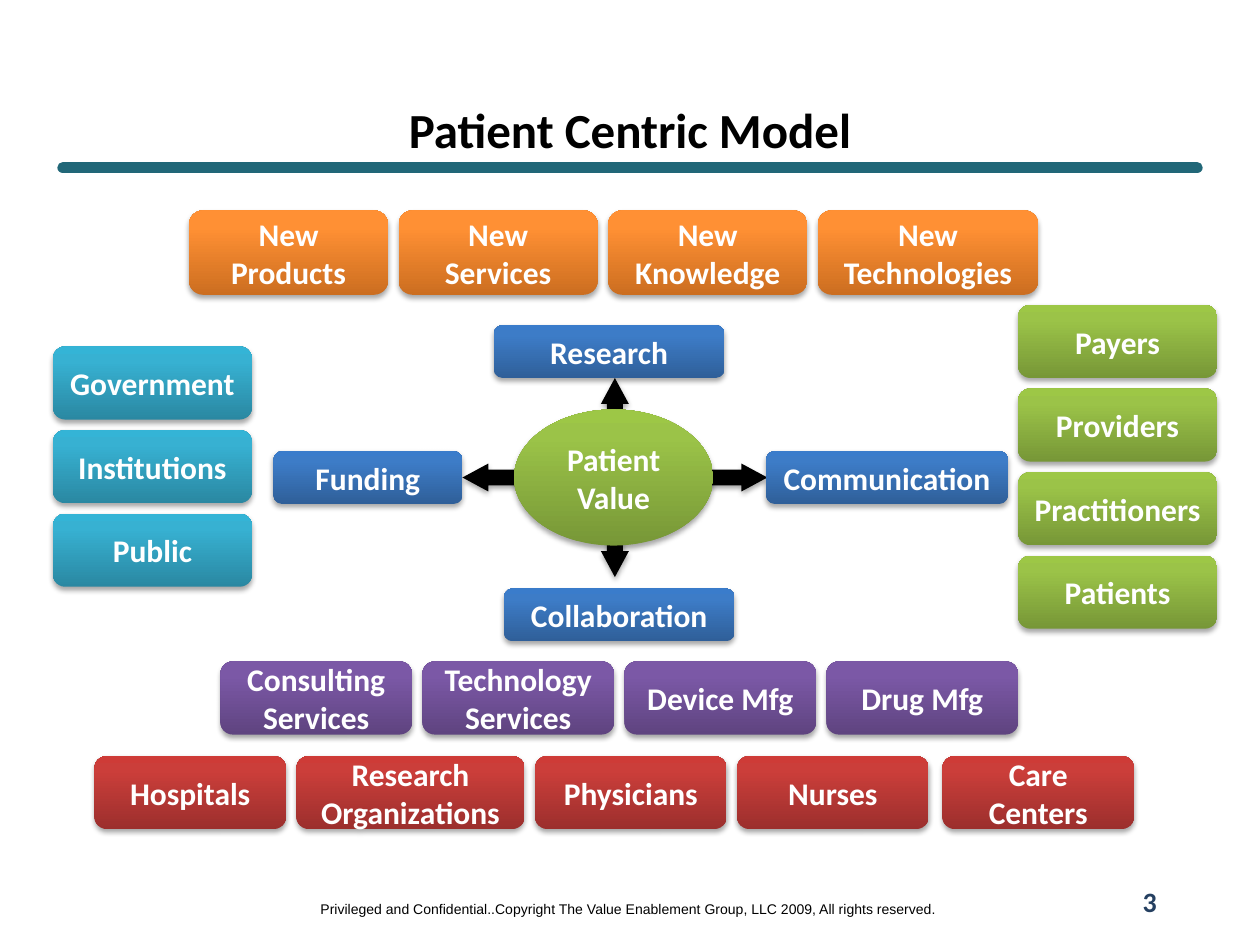
from copy import deepcopy
from dataclasses import dataclass

from lxml.etree import SubElement
from pptx import Presentation
from pptx.dml.color import RGBColor
from pptx.enum.shapes import MSO_CONNECTOR as Connector, MSO_SHAPE as Preset
from pptx.enum.text import MSO_ANCHOR as Anchor, MSO_AUTO_SIZE as AutoSize, PP_ALIGN as Align
from pptx.oxml.ns import qn
from pptx.util import Inches, Pt

GAP = 1 / 12


@dataclass(frozen=True)
class Theme:
    black: str = "000000"
    white: str = "FFFFFF"
    rule: str = "216778"
    number: str = "254061"
    # Gradients run from bottom to top.
    green: tuple = ("779737", "9BC348", "9DC746")
    blue: tuple = ("2F5F99", "3D7CC7", "3A7CCB")
    purple: tuple = ("5F4480", "7B58A6", "7C57A8")
    orange: tuple = ("CC6E20", "FF9034", "FF9136")
    red: tuple = ("9C2F2D", "CB3E3A", "CE3B37")
    teal: tuple = ("2A88A2", "37B1D2", "34B4D6")
    stops: tuple = (0, 0.8, 1)
    font: str = "Calibri"
    footer_font: str = "Arial"
    title_size: int = 28
    label_size: int = 18
    number_size: int = 16
    footer_size: int = 8


THEME = Theme()


@dataclass(frozen=True)
class Box:
    label: str
    left: float
    top: float
    width: float
    height: float
    colors: tuple
    preset: Preset = Preset.ROUNDED_RECTANGLE


@dataclass(frozen=True)
class Band:
    """A run of boxes; a label in wide gets its own width."""
    labels: tuple
    left: float
    top: float
    width: float
    height: float
    colors: tuple
    vertical: bool = False
    grouped: bool = False
    wide: tuple = ()


HUB = (
    Box("Patient Value", 4.08, 3.25, 1.58, 1.08, THEME.green, Preset.OVAL),
    Box("Research", 3.92, 2.58, 1.83, 0.42, THEME.blue),
    Box("Collaboration", 4, 4.67, 1.83, 0.42, THEME.blue),
    Box("Communication", 6.08, 3.58, 1.92, 0.42, THEME.blue),
    Box("Funding", 2.17, 3.58, 1.5, 0.42, THEME.blue),
)
CARE_CENTERS = Box("Care Centers", 7.48, 6, 1.52, 0.58, THEME.red)
BANDS = (
    Band(("Consulting\nServices", "Technology\nServices", "Device Mfg", "Drug Mfg"),
         1.75, 5.25, 1.52, 0.58, THEME.purple, grouped=True),
    Band(("New Products", "New Services", "New Knowledge", "New Technologies"),
         1.5, 1.67, 1.58, 0.67, THEME.orange, wide=("New Technologies", 1.75)),
    Band(("Hospitals", "Research Organizations", "Physicians", "Nurses"),
         0.75, 6, 1.52, 0.58, THEME.red, grouped=True,
         wide=("Research Organizations", 1.81)),
    Band(("Government", "Institutions", "Public"),
         0.42, 2.75, 1.58, 0.58, THEME.teal, vertical=True),
    Band(("Payers", "Providers", "Practitioners", "Patients"),
         8.08, 2.42, 1.58, 0.58, THEME.green, vertical=True),
)


def rgb(color: str) -> RGBColor:
    return RGBColor.from_string(color)


def write(shape, text: str, size: int, color: str, font: str = THEME.font,
          bold: bool = True, wrap: bool = True) -> None:
    frame = shape.text_frame
    frame.word_wrap = wrap
    frame.auto_size = AutoSize.NONE
    frame.vertical_anchor = Anchor.MIDDLE
    for index, line in enumerate(text.split("\n")):
        paragraph = frame.add_paragraph() if index else frame.paragraphs[0]
        paragraph.alignment = Align.CENTER
        run = paragraph.add_run()
        run.text = line
        run.font.name = font
        run.font.size = Pt(size)
        run.font.bold = bold
        run.font.color.rgb = rgb(color)


def add_shadow(shape) -> None:
    shape.shadow.inherit = False
    effects = shape._element.spPr.find(qn("a:effectLst"))
    shadow = SubElement(effects, qn("a:outerShdw"), blurRad=str(Pt(3.1)),
                        dist=str(Pt(1.8)), dir="5400000", rotWithShape="0")
    color = SubElement(shadow, qn("a:srgbClr"), val=THEME.black)
    SubElement(color, qn("a:alpha"), val="35000")


def fill_gradient(shape, colors: tuple) -> None:
    shape.fill.gradient()
    shape.fill.gradient_angle = 90
    stop_list = shape._element.spPr.find(".//" + qn("a:gsLst"))
    stop_list.insert(1, deepcopy(stop_list[0]))
    for stop, position, color in zip(shape.fill.gradient_stops, THEME.stops, colors):
        stop.position = position
        stop.color.rgb = rgb(color)


def add_box(shapes, box: Box) -> None:
    shape = shapes.add_shape(box.preset, Inches(box.left), Inches(box.top),
                             Inches(box.width), Inches(box.height))
    fill_gradient(shape, box.colors)
    shape.line.fill.background()
    add_shadow(shape)
    write(shape, box.label, THEME.label_size, THEME.white)


def add_band(shapes, band: Band) -> None:
    target = shapes.add_group_shape().shapes if band.grouped else shapes
    left, top = band.left, band.top
    for label in band.labels:
        width = band.wide[1] if label in band.wide else band.width
        add_box(target, Box(label, left, top, width, band.height, band.colors))
        if band.vertical:
            top += band.height + GAP
        else:
            left += width + GAP


def add_title(slide) -> None:
    title = slide.shapes.title
    title.left, title.top = Inches(0.5), Inches(0.83)
    title.width, title.height = Inches(9), Inches(0.38)
    write(title, "Patient Centric Model", THEME.title_size, THEME.black)


def add_rule(shapes) -> None:
    rule = shapes.add_connector(Connector.STRAIGHT, Inches(0.5), Inches(1.33),
                                Inches(9.5), Inches(1.33))
    rule.line.color.rgb = rgb(THEME.rule)
    rule.line.width = Pt(6.5)
    rule.line._ln.set("cap", "rnd")
    SubElement(rule._element.spPr, qn("a:effectLst"))


def add_footer(shapes) -> None:
    footer = shapes.add_textbox(Inches(2.41), Inches(7.09), Inches(5.16), Inches(0.24))
    write(footer, "Privileged and Confidential..Copyright The Value Enablement Group, "
          "LLC 2009, All rights reserved.", THEME.footer_size, THEME.black,
          THEME.footer_font, bold=False, wrap=False)
    number = shapes.add_textbox(Inches(8.75), Inches(6.95), Inches(0.75), Inches(0.4))
    write(number, "3", THEME.number_size, THEME.number)


def add_arrows(shapes) -> None:
    arrows = shapes.add_shape(Preset.QUAD_ARROW, Inches(3.67), Inches(3),
                              Inches(2.42), Inches(1.58))
    for index, value in enumerate((0.08, 0.07, 0.13)):
        arrows.adjustments[index] = value
    arrows.fill.solid()
    arrows.fill.fore_color.rgb = rgb(THEME.black)
    arrows.line.fill.background()
    add_shadow(arrows)


def main() -> None:
    presentation = Presentation()
    presentation.slide_width, presentation.slide_height = Inches(10), Inches(7.5)
    slide = presentation.slides.add_slide(presentation.slide_layouts[5])
    shapes = slide.shapes
    add_rule(shapes)
    add_footer(shapes)
    add_arrows(shapes)
    add_title(slide)
    for box in HUB:
        add_box(shapes, box)
    for band in BANDS:
        add_band(shapes, band)
    add_box(shapes, CARE_CENTERS)
    presentation.save("out.pptx")


if __name__ == "__main__":
    main()
